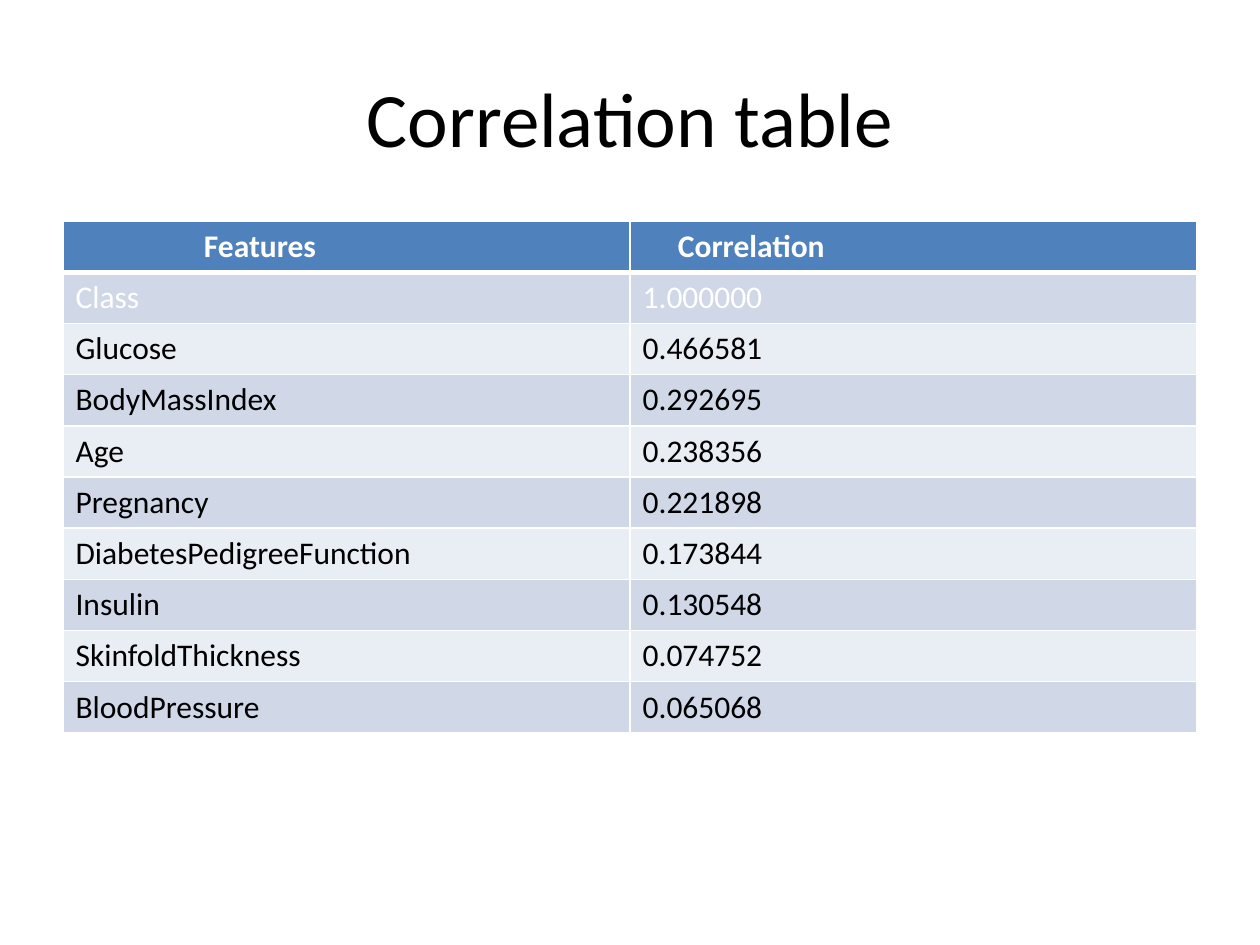
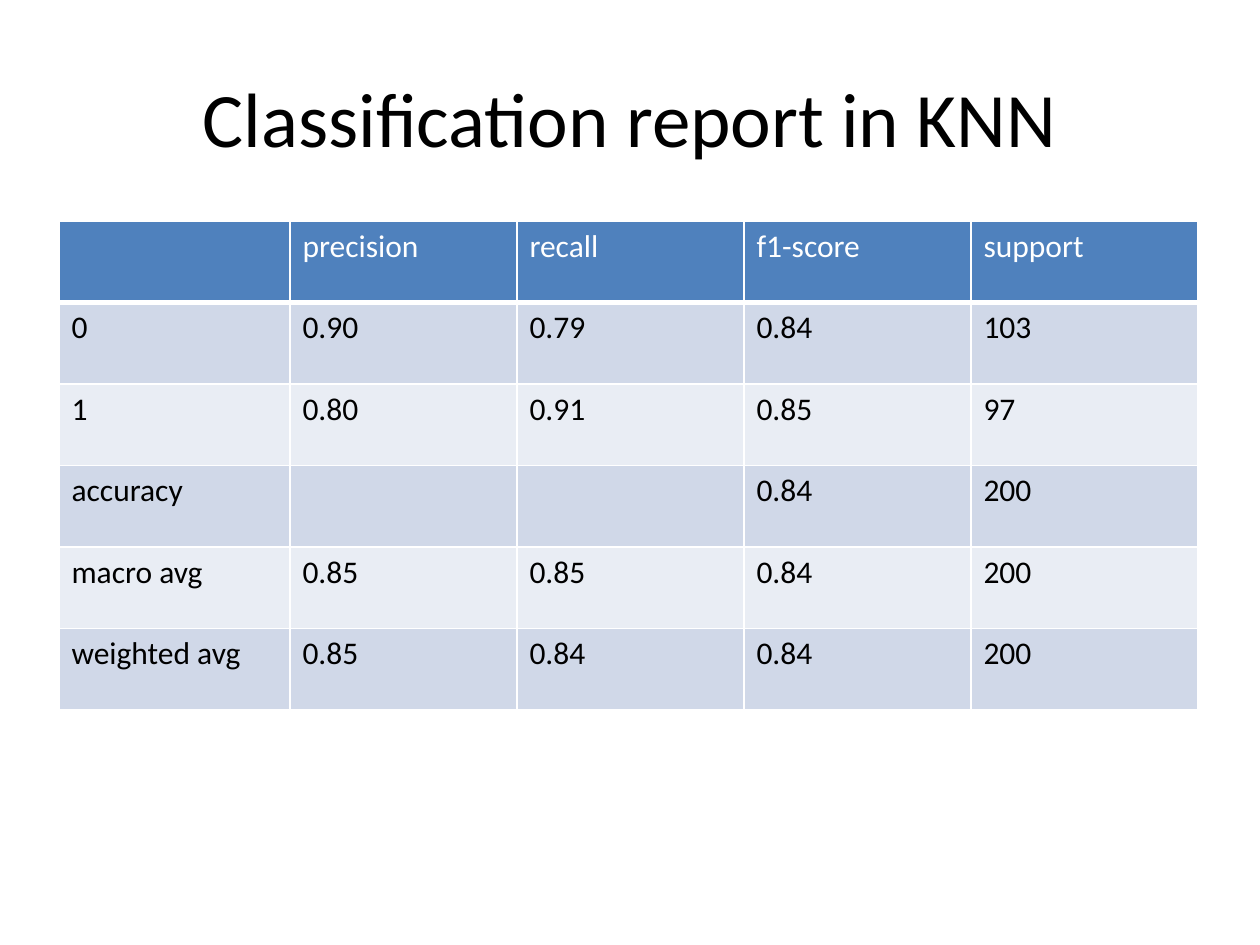
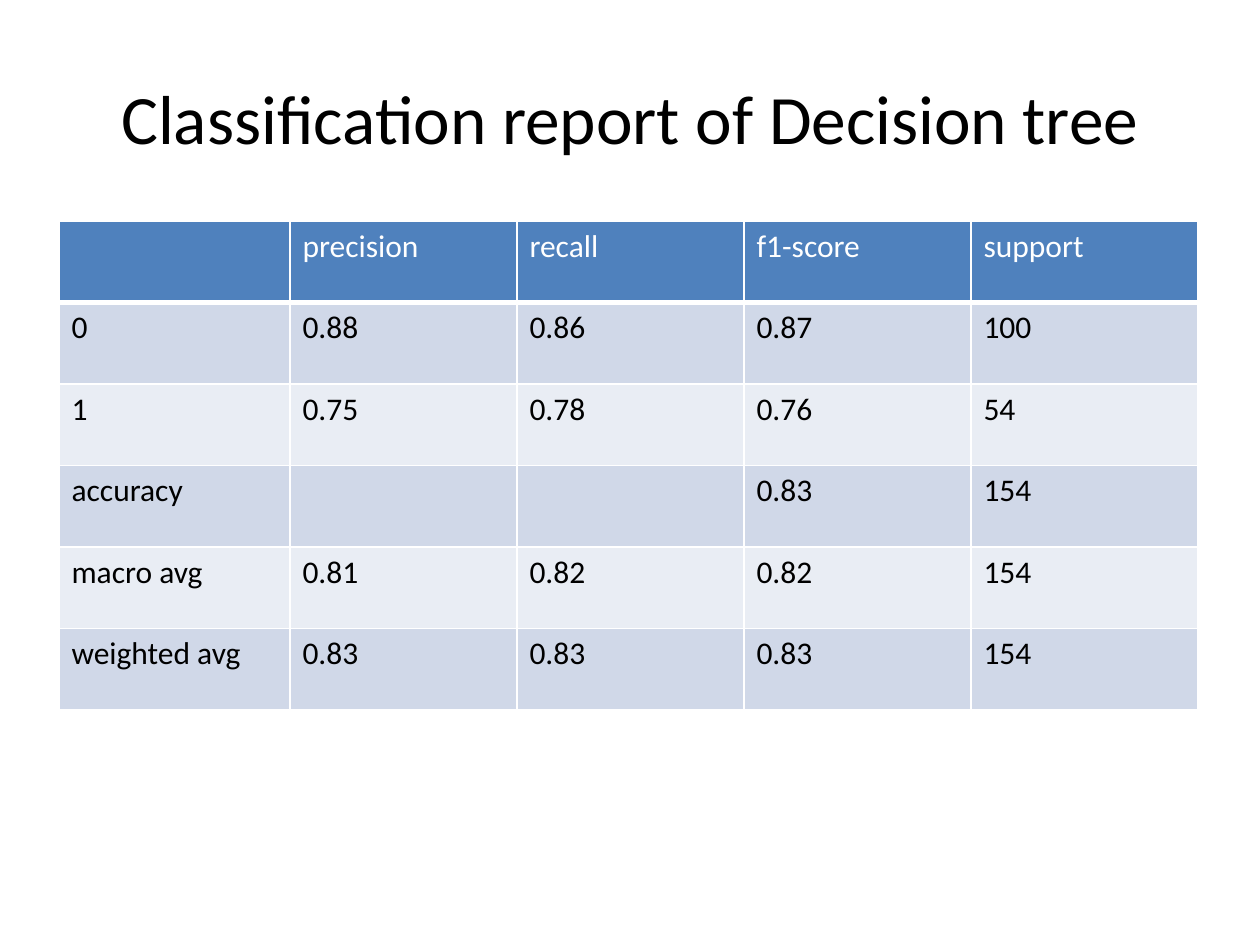
from lxml import etree
from pptx import Presentation
from pptx.dml.color import RGBColor
from pptx.enum.text import MSO_ANCHOR, PP_ALIGN
from pptx.oxml.ns import qn
from pptx.util import Emu, Pt

CENTER = PP_ALIGN.CENTER
MIDDLE = MSO_ANCHOR.MIDDLE

# Shared look
EMU_PER_PIXEL = 914400 / 126
FONT = "Calibri"
COLORS = {
    "paper": "FFFFFF",
    "ink": "000000",
    "header": "4F81BD",
    "band_dark": "D0D8E8",
    "band_light": "E9EDF4",
}
TITLE_ONLY_LAYOUT = 5
TABLE_TOP = 221
TITLE_BOX = (63, 38, 1134, 158)

# Content
CORRELATIONS = [
    ("Features", "Correlation"),
    ("Class", "1.000000"),
    ("Glucose", "0.466581"),
    ("BodyMassIndex", "0.292695"),
    ("Age", "0.238356"),
    ("Pregnancy", "0.221898"),
    ("DiabetesPedigreeFunction", "0.173844"),
    ("Insulin", "0.130548"),
    ("SkinfoldThickness", "0.074752"),
    ("BloodPressure", "0.065068"),
]
REPORT_HEADER = ("", "precision", "recall", "f1-score", "support")
KNN_SCORES = [
    ("0", "0.90", "0.79", "0.84", "103"),
    ("1", "0.80", "0.91", "0.85", "97"),
    ("accuracy", "", "", "0.84", "200"),
    ("macro avg", "0.85", "0.85", "0.84", "200"),
    ("weighted avg", "0.85", "0.84", "0.84", "200"),
]
TREE_SCORES = [
    ("0", "0.88", "0.86", "0.87", "100"),
    ("1", "0.75", "0.78", "0.76", "54"),
    ("accuracy", "", "", "0.83", "154"),
    ("macro avg", "0.81", "0.82", "0.82", "154"),
    ("weighted avg", "0.83", "0.83", "0.83", "154"),
]


def px(pixels):
    return Emu(round(pixels * EMU_PER_PIXEL))


def rgb(name):
    return RGBColor.from_string(COLORS[name])


def set_font(paragraph, size, color, bold=False):
    font = paragraph.font
    font.name = FONT
    font.size = Pt(size)
    font.bold = bold
    font.color.rgb = rgb(color)


def add_titled_slide(prs, text, size=44):
    slide = prs.slides.add_slide(prs.slide_layouts[TITLE_ONLY_LAYOUT])
    title = slide.shapes.title
    title.left, title.top, title.width, title.height = map(px, TITLE_BOX)
    title.text_frame.text = text
    title.text_frame.vertical_anchor = MIDDLE
    heading = title.text_frame.paragraphs[0]
    heading.alignment = CENTER
    set_font(heading, size, "ink")
    return slide


def set_borders(cell, top, bottom):
    """Draw white cell edges; top and bottom are widths in points."""
    properties = cell._tc.get_or_add_tcPr()
    for edge, width in (("lnL", 1), ("lnR", 1), ("lnT", top), ("lnB", bottom)):
        line = etree.SubElement(properties, qn("a:" + edge), w=str(Pt(width)))
        fill = etree.SubElement(line, qn("a:solidFill"))
        etree.SubElement(fill, qn("a:srgbClr"), val=COLORS["paper"])


def style_cell(cell, row, text, color, bold):
    # A thick rule separates the header from the first band
    set_borders(cell, top=3 if row == 1 else 1, bottom=3 if row == 0 else 1)
    band = "header" if row == 0 else ("band_light", "band_dark")[row % 2]
    cell.fill.solid()
    cell.fill.fore_color.rgb = rgb(band)
    cell.text = text
    set_font(cell.text_frame.paragraphs[0], 18, color, bold)


def add_banded_table(slide, rows, left, widths, height, white_rows=1, bold_header=False):
    frame = slide.shapes.add_table(
        len(rows), len(widths), px(left), px(TABLE_TOP), px(sum(widths)), px(height)
    )
    table = frame.table
    for column, width in zip(table.columns, widths):
        column.width = px(width)
    for row, values in enumerate(rows):
        table.rows[row].height = px(height / len(rows))
        color = "paper" if row < white_rows else "ink"
        for column, text in enumerate(values):
            style_cell(table.cell(row, column), row, text, color, bold_header and row == 0)
    return table


def add_correlation_slide(prs):
    slide = add_titled_slide(prs, "Correlation table")
    table = add_banded_table(
        slide, CORRELATIONS, 63, [567, 567], 512, white_rows=2, bold_header=True
    )
    # The headings are set in from the left of their columns
    for column, inset in enumerate((141, 48)):
        table.cell(0, column).margin_left = px(inset)


def add_report_slide(prs, title, scores, title_size=44):
    slide = add_titled_slide(prs, title, title_size)
    add_banded_table(slide, [REPORT_HEADER] + scores, 59, [231] + [227] * 4, 489)


def main():
    prs = Presentation()
    prs.slide_width, prs.slide_height = px(1260), px(945)
    add_correlation_slide(prs)
    add_report_slide(prs, "Classification report in KNN", KNN_SCORES)
    add_report_slide(prs, "Classification report of Decision tree", TREE_SCORES, 39.6)
    prs.save("out.pptx")


main()
